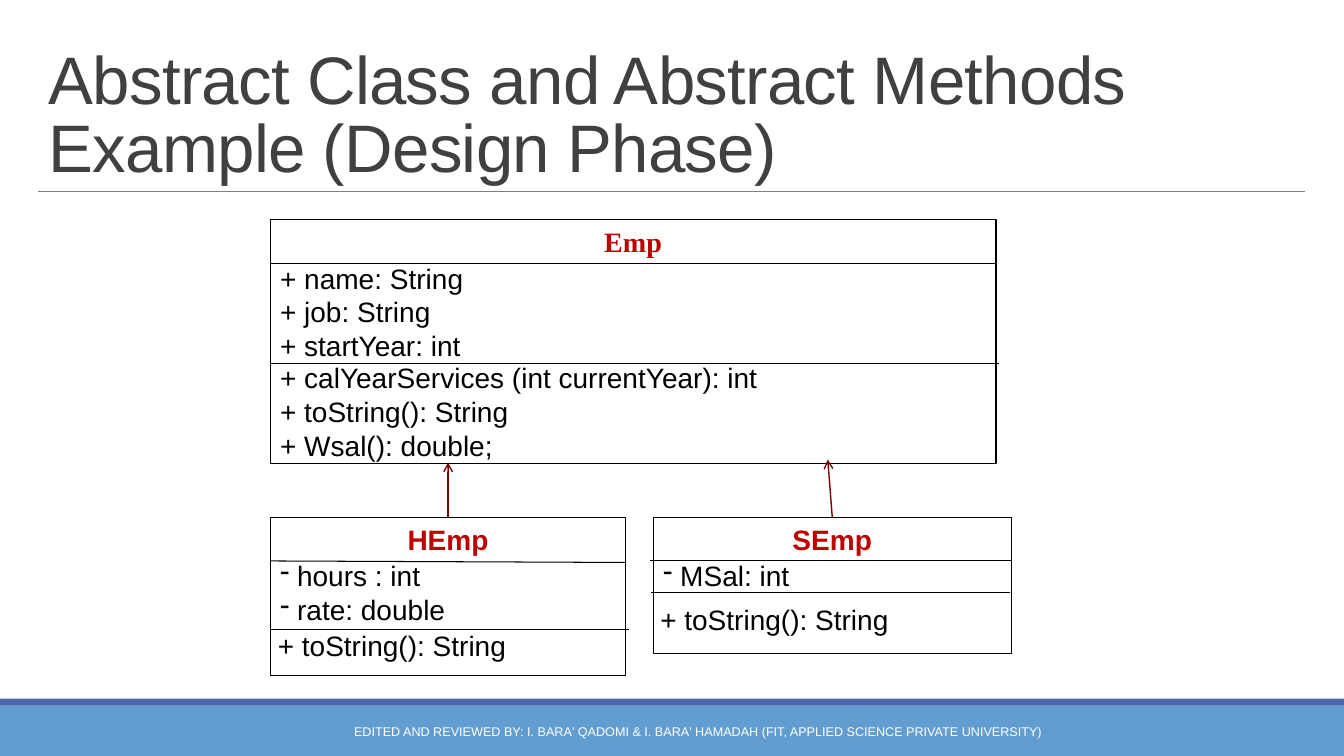
from pptx import Presentation
from pptx.dml.color import RGBColor as Rgb
from pptx.enum.shapes import MSO_CONNECTOR as Conn, MSO_SHAPE as Shape
from pptx.enum.text import MSO_ANCHOR as Anchor, MSO_AUTO_SIZE as Fit, PP_ALIGN as Align
from pptx.oxml.ns import qn
from pptx.util import Inches, Pt
from lxml.etree import SubElement as Sub

WIDE, HIGH = Inches(13.33), Inches(7.5)
RED, BLACK, WHITE = "C00000", "000000", "FFFFFF"


def color(code):
    return Rgb.from_string(code)


def across(share):
    return int(WIDE * share / 100)


def down(share):
    return int(HIGH * share / 100)


def area(left, top, width, height):
    return across(left), down(top), across(width), down(height)


def write(frame, text, size=20, font="Arial", ink=BLACK, bold=False, align=Align.LEFT,
          after=0, leading=None, track=None, bullet=None, more=False):
    para = frame.add_paragraph() if more else frame.paragraphs[0]
    if bullet:
        props = para._p.get_or_add_pPr()
        props.set("marL", "0")
        props.set("indent", "0")
        Sub(props, qn("a:buChar")).set("char", bullet)
    para.alignment = align
    para.space_after = Pt(after)
    if leading:
        para.line_spacing = leading
    run = para.add_run()
    run.text = text
    run.font.size, run.font.name, run.font.bold = Pt(size), font, bold
    run.font.color.rgb = color(ink)
    if track:
        run._r.get_or_add_rPr().set("spc", str(track))


def rect(slide, spot, fill, edge=None):
    box = slide.shapes.add_shape(Shape.RECTANGLE, *area(*spot))
    box.shadow.inherit = False
    box.fill.solid()
    box.fill.fore_color.rgb = color(fill)
    if edge:
        box.line.color.rgb = color(edge)
        box.line.width = Pt(0.75)
    else:
        box.line.fill.background()
    return box


def label(slide, spot, lines, anchor=Anchor.TOP, **look):
    frame = slide.shapes.add_textbox(*area(*spot)).text_frame
    frame.word_wrap = True
    frame.vertical_anchor = anchor
    for row, text in enumerate(lines):
        write(frame, text, more=row > 0, **look)


def line(slide, start, end, ink=BLACK, width=0.75):
    link = slide.shapes.add_connector(Conn.STRAIGHT, across(start[0]), down(start[1]),
                                      across(end[0]), down(end[1]))
    link.line.color.rgb = color(ink)
    link.line.width = Pt(width)
    Sub(link._element.spPr, qn("a:effectLst"))
    return link


def arrow(slide, child, start, end):
    link = line(slide, start, end, "800000", 1)
    link.begin_connect(child, 0)
    Sub(link.line._get_or_add_ln(), qn("a:tailEnd")).set("type", "arrow")


def entity(slide, spot, name, fields, rules, font="Arial", bullet=None):
    box = rect(slide, spot, WHITE, BLACK)
    frame = box.text_frame
    frame.word_wrap = True
    frame.vertical_anchor = Anchor.TOP
    write(frame, name, font=font, ink=RED, bold=True, align=Align.CENTER, after=2)
    for field in fields:
        write(frame, field, bullet=bullet, more=True)
    for left, top, right, low in rules:
        line(slide, (left, top), (right, low))
    return box


def head(slide):
    title = slide.shapes.title
    title.left, title.top, title.width, title.height = area(2.85, 4.13, 94.22, 21.2)
    frame = title.text_frame
    frame.word_wrap = True
    frame.auto_size = Fit.NONE
    frame.vertical_anchor = Anchor.BOTTOM
    write(frame, "Abstract Class and Abstract Methods Example (Design Phase)",
          size=48, ink="404040", leading=0.85, track=-50)
    line(slide, (2.85, 25.33), (97.07, 25.33), "808080", 0.5)


def foot(slide):
    rect(slide, (0, 93.33, 100, 6.67), "629DD1")
    rect(slide, (0, 92.4, 100, 0.93), "4A66AC")
    label(slide, (23.33, 94.13, 57.16, 5.33),
          ["EDITED AND REVIEWED BY: I. BARA' QADOMI & I. BARA' HAMADAH "
           "(FIT, APPLIED SCIENCE PRIVATE UNIVERSITY)"],
          anchor=Anchor.MIDDLE, size=9, ink=WHITE, align=Align.CENTER)


def main():
    deck = Presentation()
    deck.slide_width, deck.slide_height = WIDE, HIGH
    slide = deck.slides.add_slide(deck.slide_layouts[5])
    head(slide)
    foot(slide)

    entity(slide, (20.1, 29.07, 54.01, 32.27), "Emp",
           ["+ name: String", "+ job: String", "+ startYear: int"],
           [(20.1, 34.8, 74.11, 34.8), (20.1, 48.07, 74.34, 48.07)],
           font="Times New Roman")
    label(slide, (20.1, 47.07, 55.96, 14.8),
          ["+ calYearServices (int currentYear): int", "+ toString(): String",
           "+ Wsal(): double;"])

    hourly = entity(slide, (20.1, 68.4, 26.48, 20.93), "HEmp",
                    [" hours : int", " rate: double"],
                    [(20.1, 74.2, 46.58, 74.4), (20.1, 83.3, 46.81, 83.3)], bullet="-")
    label(slide, (19.93, 82.53, 28.7, 5.87), ["+ toString(): String"])

    monthly = entity(slide, (48.61, 68.4, 26.63, 18), "SEmp", [" MSal: int"],
                     [(48.39, 74.13, 75.32, 74.13), (48.46, 78.4, 75.17, 78.4)], bullet="-")
    label(slide, (48.39, 79.07, 33.31, 5.87), ["+ toString(): String"])

    arrow(slide, hourly, (33.34, 68.4), (33.34, 61.2))
    arrow(slide, monthly, (61.93, 68.4), (61.59, 60.8))
    deck.save("out.pptx")


if __name__ == "__main__":
    main()
